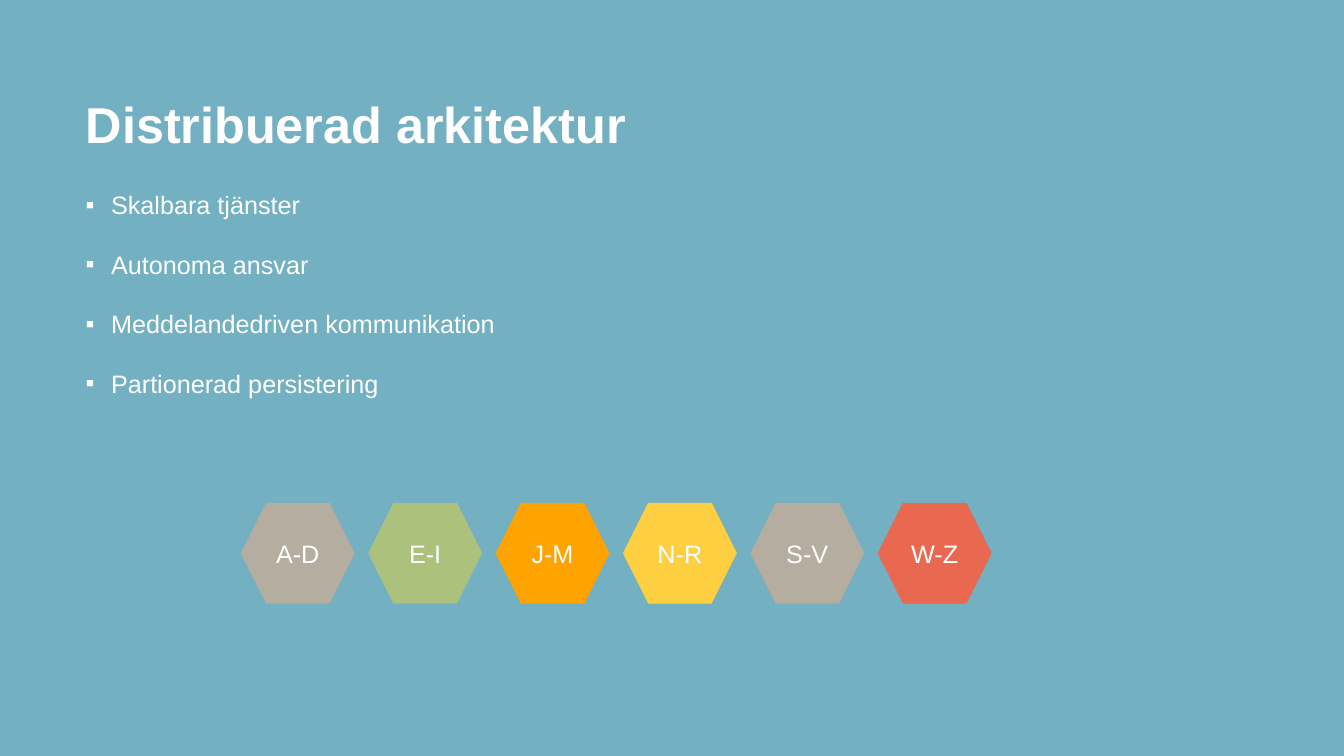
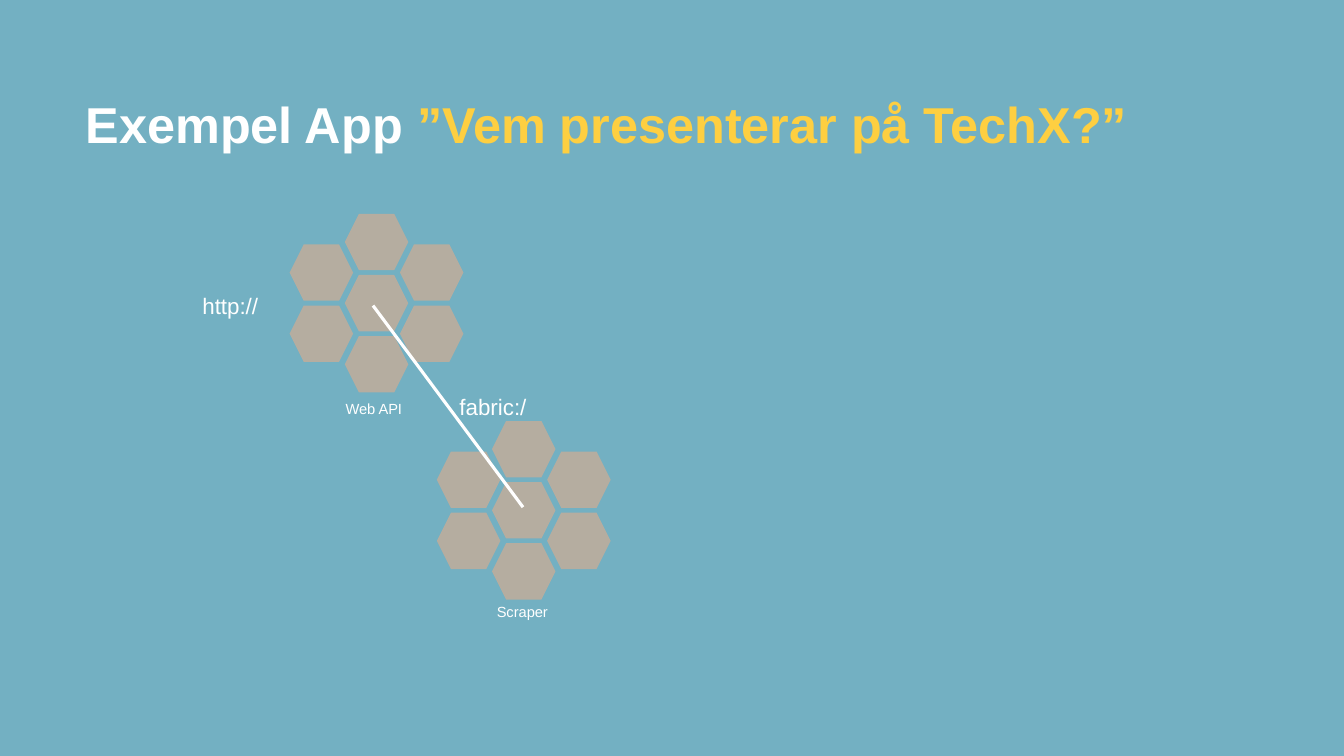
from typing import NamedTuple

from lxml.etree import SubElement
from pptx import Presentation
from pptx.dml.color import RGBColor
from pptx.enum.shapes import MSO_CONNECTOR as Connector, MSO_SHAPE as Preset
from pptx.enum.text import MSO_ANCHOR as Anchor, MSO_AUTO_SIZE as AutoSize, PP_ALIGN as Align
from pptx.oxml.ns import qn
from pptx.shapes.autoshape import Shape
from pptx.slide import Slide
from pptx.text.text import Font, TextFrame
from pptx.util import Cm, Pt

COLORS = {
    "background": "73B0C2",
    "white": "FFFFFF",
    "stone": "B5ADA0",
    "green": "ACC17C",
    "orange": "FEA300",
    "yellow": "FECF41",
    "red": "E86950",
}
FONT = "Arial"
MARGIN = 2.16


class Box(NamedTuple):
    left: float
    top: float
    width: float
    height: float


class TitlePart(NamedTuple):
    text: str
    color: str = "white"


class Partition(NamedTuple):
    letters: str
    color: str


class Label(NamedTuple):
    text: str
    box: Box
    size: float


class Point(NamedTuple):
    x: float
    y: float


TITLE_BOX = Box(MARGIN, 1.78, 29.59, 2.24)
PRINCIPLES_BOX = Box(MARGIN, 4.4, 29.64, 11.66)
PRINCIPLES = (
    "Skalbara tjänster",
    "Autonoma ansvar",
    "Meddelandedriven kommunikation",
    "Partionerad persistering",
)
PARTITIONS = (
    Partition("A-D", "stone"),
    Partition("E-I", "green"),
    Partition("J-M", "orange"),
    Partition("N-R", "yellow"),
    Partition("S-V", "stone"),
    Partition("W-Z", "red"),
)
FIRST_PARTITION = Box(6.07, 12.67, 2.87, 2.54)
PARTITION_PITCH = 3.21

NODE_WIDTH, NODE_HEIGHT = 1.6, 1.42
COLUMN_PITCH, ROW_PITCH = 1.39, 1.54
CLUSTER_CENTERS = (Point(9.49, 7.64), Point(13.2, 12.86))
NODE_STEPS = ((0, 0), (0, -1), (0, 1), (-1, -0.5), (-1, 0.5), (1, -0.5), (1, 0.5))
CALL_START, CALL_END = Point(9.4, 7.7), Point(13.18, 12.78)
LABELS = (
    Label("Web API", Box(8.46, 9.96, 2.06, 0.74), 10.5),
    Label("Scraper", Box(12.27, 15.06, 1.83, 0.71), 10.5),
    Label("fabric:/", Box(11.33, 9.78, 2.24, 0.94), 16),
    Label("http://", Box(4.85, 7.24, 1.96, 0.94), 16),
)


def rgb(color: str) -> RGBColor:
    return RGBColor.from_string(COLORS[color])


def style(font: Font, size: float, color: str = "white", bold: bool = False) -> None:
    font.name = FONT
    font.size = Pt(size)
    font.bold = bold
    font.color.rgb = rgb(color)


def add_text_frame(slide: Slide, box: Box) -> TextFrame:
    frame = slide.shapes.add_textbox(*map(Cm, box)).text_frame
    frame.word_wrap = True
    return frame


def add_title(slide: Slide, *parts: TitlePart) -> None:
    frame = add_text_frame(slide, TITLE_BOX)
    frame.margin_left = 0
    frame.vertical_anchor = Anchor.BOTTOM
    heading = frame.paragraphs[0]
    heading.line_spacing = 0.9
    for part in parts:
        run = heading.add_run()
        run.text = part.text
        style(run.font, 36, part.color, bold=True)


def add_principles(slide: Slide) -> None:
    frame = add_text_frame(slide, PRINCIPLES_BOX)
    frame.margin_left = frame.margin_top = frame.margin_right = frame.margin_bottom = 0
    frame.text = "\n".join(PRINCIPLES)
    for index, principle in enumerate(frame.paragraphs):
        properties = principle._p.get_or_add_pPr()
        properties.set("marL", str(Cm(0.64)))
        properties.set("indent", str(Cm(-0.64)))
        SubElement(properties, qn("a:buFont"), typeface=FONT)
        SubElement(properties, qn("a:buChar"), char="▪")
        principle.line_spacing = 1.5
        principle.space_before = Pt(10 if index else 0)
        style(principle.runs[0].font, 18)


def add_hexagon(slide: Slide, box: Box, color: str) -> Shape:
    hexagon = slide.shapes.add_shape(Preset.HEXAGON, *map(Cm, box))
    hexagon.shadow.inherit = False
    hexagon.fill.solid()
    hexagon.fill.fore_color.rgb = rgb(color)
    hexagon.line.fill.background()
    return hexagon


def add_partitions(slide: Slide) -> None:
    for index, partition in enumerate(PARTITIONS):
        box = FIRST_PARTITION._replace(left=FIRST_PARTITION.left + index * PARTITION_PITCH)
        frame = add_hexagon(slide, box, partition.color).text_frame
        frame.text = partition.letters
        frame.vertical_anchor = Anchor.MIDDLE
        frame.paragraphs[0].alignment = Align.CENTER
        style(frame.paragraphs[0].runs[0].font, 18)


def add_cluster(slide: Slide, center: Point) -> None:
    for column, row in NODE_STEPS:
        left = center.x + column * COLUMN_PITCH - NODE_WIDTH / 2
        top = center.y + row * ROW_PITCH - NODE_HEIGHT / 2
        add_hexagon(slide, Box(left, top, NODE_WIDTH, NODE_HEIGHT), "stone")


def add_call(slide: Slide) -> None:
    call = slide.shapes.add_connector(Connector.STRAIGHT, *map(Cm, CALL_START + CALL_END))
    call.line.color.rgb = rgb("white")
    call.line.width = Pt(2.25)
    SubElement(call._element.spPr, qn("a:effectLst"))


def add_label(slide: Slide, label: Label) -> None:
    frame = add_text_frame(slide, label.box)
    frame.word_wrap = False
    frame.auto_size = AutoSize.SHAPE_TO_FIT_TEXT
    frame.text = label.text
    style(frame.paragraphs[0].runs[0].font, label.size)


def main() -> None:
    deck = Presentation()
    deck.slide_width, deck.slide_height = Cm(33.87), Cm(19.05)
    background = deck.slide_master.background.fill
    background.solid()
    background.fore_color.rgb = rgb("background")
    blank = deck.slide_layouts[6]

    architecture = deck.slides.add_slide(blank)
    add_title(architecture, TitlePart("Distribuerad arkitektur"))
    add_principles(architecture)
    add_partitions(architecture)

    example = deck.slides.add_slide(blank)
    add_title(
        example,
        TitlePart("Exempel App "),
        TitlePart("”Vem presenterar på TechX?”", "yellow"),
    )
    for center in CLUSTER_CENTERS:
        add_cluster(example, center)
    add_call(example)
    for label in LABELS:
        add_label(example, label)

    deck.save("out.pptx")


if __name__ == "__main__":
    main()
